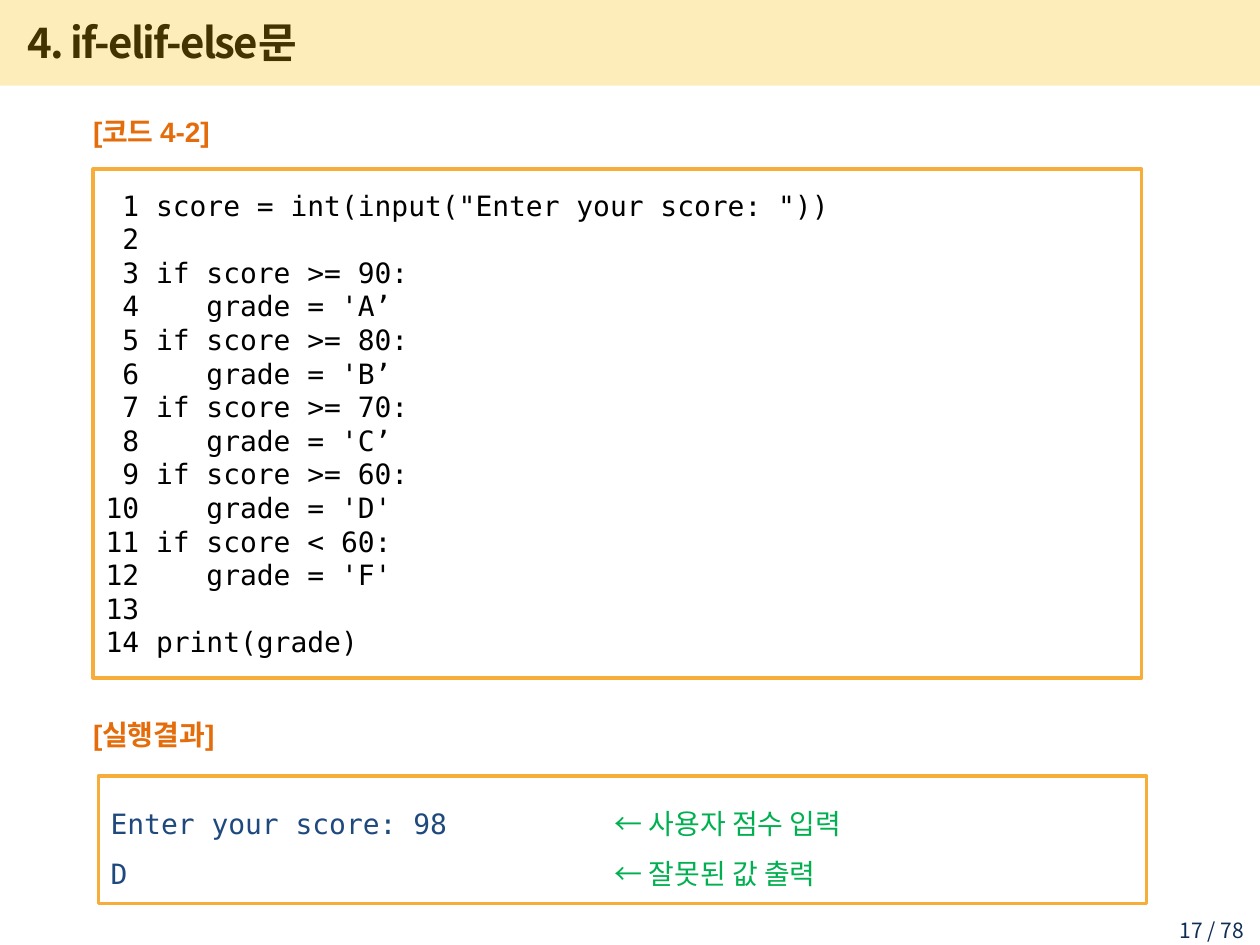
"""Build the if-elif-else code slide."""
import pptx
import pptx.util
import pptx.dml.color
import pptx.enum.shapes
import pptx.enum.text
import pptx.oxml
import pptx.oxml.ns

Inches = pptx.util.Inches
Pt = pptx.util.Pt
ALIGN = pptx.enum.text.PP_ALIGN
MONO = "DejaVu Sans Mono"
SANS = "Noto Sans CJK KR"
CODE = """score = int(input("Enter your score: "))

if score >= 90:
   grade = 'A’
if score >= 80:
   grade = 'B’
if score >= 70:
   grade = 'C’
if score >= 60:
   grade = 'D'
if score < 60:
   grade = 'F'

print(grade)"""
RESULT = [
    ("Enter your score: 98", "← 사용자 점수 입력"),
    ("D", "← 잘못된 값 출력"),
]


def color(text):
    """Turn a hex string into a colour."""
    return pptx.dml.color.RGBColor.from_string(text)


def child(node, tag, **attrs):
    """Append a drawing element to a node."""
    item = pptx.oxml.parse_xml(f"<a:{tag} {pptx.oxml.ns.nsdecls('a')}/>")
    for key, value in attrs.items():
        item.set(key, value)
    node.append(item)
    return item


def add_run(para, text, size, font, tint, bold=False):
    """Add one formatted run to a paragraph."""
    run = para.add_run()
    run.text = text
    run.font.size = Pt(size)
    run.font.name = font
    run.font.bold = bold
    run.font.color.rgb = color(tint)
    child(run.font._element, "ea", typeface=SANS)
    return run


def set_frame(shape):
    """Wrap a shape's text and centre it vertically."""
    frame = shape.text_frame
    frame.word_wrap = True
    frame.vertical_anchor = pptx.enum.text.MSO_ANCHOR.MIDDLE
    return frame


def add_paras(frame, count):
    """Give a frame a number of left-aligned paragraphs."""
    paras = [frame.paragraphs[0]]
    paras += [frame.add_paragraph() for _ in range(count - 1)]
    for para in paras:
        para.alignment = ALIGN.LEFT
    return paras


def add_rect(slide, *place):
    """Add a plain rectangle without shadow."""
    kind = pptx.enum.shapes.MSO_SHAPE.RECTANGLE
    rect = slide.shapes.add_shape(kind, *map(Inches, place))
    rect.shadow.inherit = False
    return rect


def add_band(slide):
    """Add the pale band behind the title."""
    band = add_rect(slide, 0, 0, 10, 0.68)
    band.fill.solid()
    band.fill.fore_color.rgb = color("FABE00")
    band.line.fill.background()
    tint = band._element.spPr.find(".//" + pptx.oxml.ns.qn("a:srgbClr"))
    child(tint, "alpha", val="27000")


def add_title(slide, text):
    """Place and format the slide title."""
    title = slide.shapes.title
    title.left, title.top = Inches(0.12), Inches(0.07)
    title.width, title.height = Inches(8.51), Inches(0.52)
    para = add_paras(set_frame(title), 1)[0]
    run = add_run(para, text, 24, SANS, "000000", True)
    run.font._element.set("spc", "-100")


def add_label(slide, text, size, font, tint, place, bold=False):
    """Add a one-line text box."""
    box = slide.shapes.add_textbox(*map(Inches, place))
    para = add_paras(set_frame(box), 1)[0]
    add_run(para, text, size, font, tint, bold)
    return para


def add_head(slide, text, top, height):
    """Add an orange section heading."""
    add_label(slide, text, 16, "Arial", "E46C0A", (0.64, top, 1.57, height), True)


def add_box(slide, *place):
    """Add an outlined box and return its text frame."""
    box = add_rect(slide, *place)
    box.fill.background()
    box.line.color.rgb = color("F6AD3A")
    box.line.width = Pt(2)
    return set_frame(box)


def add_code(slide):
    """Add the numbered code listing."""
    lines = CODE.split("\n")
    paras = add_paras(add_box(slide, 0.74, 1.34, 8.32, 4.04), len(lines))
    for num, (para, line) in enumerate(zip(paras, lines), 1):
        add_run(para, f"{num:2} {line}".rstrip(), 16, MONO, "000000")


def add_result(slide):
    """Add the program output with remarks at a tab stop."""
    paras = add_paras(add_box(slide, 0.78, 6.16, 8.32, 1.01), len(RESULT))
    for para, (output, note) in zip(paras, RESULT):
        para.line_spacing = 1.5
        tabs = child(para._p.get_or_add_pPr(), "tabLst")
        child(tabs, "tab", pos=str(Inches(4)), algn="l")
        add_run(para, output + "\t", 16, MONO, "1F497D")
        add_run(para, note, 16, SANS, "00B050")


def main():
    """Build and save the slide."""
    deck = pptx.Presentation()
    deck.slide_width, deck.slide_height = Inches(10), Inches(7.5)
    slide = deck.slides.add_slide(deck.slide_layouts[5])
    add_band(slide)
    add_title(slide, "4. if-elif-else문")
    add_code(slide)
    add_head(slide, "[코드 4-2]", 0.79, 0.5)
    add_head(slide, "[실행결과]", 5.55, 0.55)
    add_result(slide)
    page = add_label(slide, "17 / 78", 12, SANS, "0F2E53", (9.05, 7.22, 0.92, 0.32))
    page.alignment = ALIGN.RIGHT
    deck.save("out.pptx")


if __name__ == "__main__":
    main()
